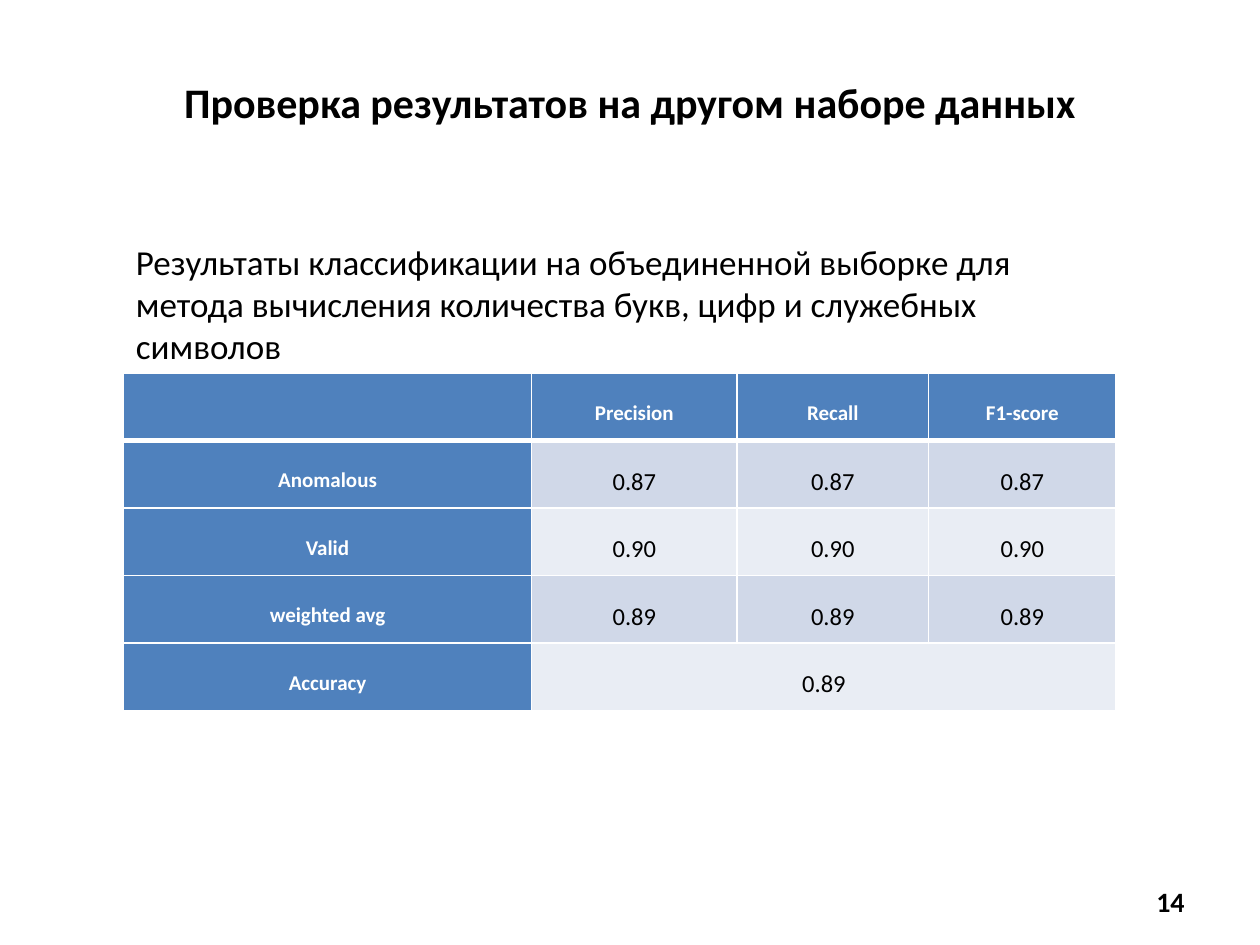
from lxml.etree import SubElement
from pptx import Presentation
from pptx.dml.color import RGBColor
from pptx.enum.text import MSO_ANCHOR as Anchor, PP_ALIGN as Align
from pptx.oxml.ns import qn
from pptx.util import Inches, Pt

WHITE, BLACK, BLUE = "FFFFFF", "000000", "4F81BD"
BANDS = ["D0D8E8", "E9EDF4"]


def paint(item, color):
    item.rgb = RGBColor.from_string(color)


def write(frame, text, size, color=BLACK, bold=False, align=Align.LEFT):
    para = frame.paragraphs[0]
    para.alignment = align
    run = para.add_run()
    run.text = text
    font = run.font
    font.name, font.size, font.bold = "Calibri", Pt(size), bold
    paint(font.color, color)
    return para


deck = Presentation()
deck.slide_width, deck.slide_height = Inches(10), Inches(7.5)
slide = deck.slides.add_slide(deck.slide_layouts[6])

# Title, table caption and page number
texts = [
    ("Проверка результатов на другом наборе данных",
     (0.5, 0.3, 9, 1.01), 24, True, Align.CENTER, Anchor.MIDDLE),
    ("Результаты классификации на объединенной выборке для метода "
     "вычисления количества букв, цифр и служебных символов",
     (0.98, 1.86, 7.95, 1.11), 20, False, Align.LEFT, Anchor.TOP),
    ("14", (7.17, 6.95, 2.33, 0.4), 16, True, Align.RIGHT, Anchor.MIDDLE),
]
for text, place, size, bold, align, anchor in texts:
    frame = slide.shapes.add_textbox(*map(Inches, place)).text_frame
    frame.word_wrap = True
    frame.vertical_anchor = anchor
    write(frame, text, size, bold=bold, align=align)

# Table of scores
rows = [
    ["", "Precision", "Recall", "F1-score"],
    ["Anomalous"] + ["0.87"] * 3,
    ["Valid"] + ["0.90"] * 3,
    ["weighted avg"] + ["0.89"] * 3,
    ["Accuracy", "0.89", "", ""],
]
widths = [3.24, 1.63, 1.52, 1.49]
table = slide.shapes.add_table(
    len(rows), len(widths), Inches(0.98), Inches(2.96),
    Inches(sum(widths)), Inches(2.68)).table
for col, width in zip(table.columns, widths):
    col.width = Inches(width)
table.cell(4, 1).merge(table.cell(4, 3))

for r, row in enumerate(rows):
    table.rows[r].height = Inches(2.68 / len(rows))
    for c, text in enumerate(row):
        cell = table.cell(r, c)
        head = r == 0 or c == 0

        # White borders, thick between the header and the body
        props = cell._tc.get_or_add_tcPr()
        for side in "LRTB":
            thick = (r, side) in [(0, "B"), (1, "T")]
            line = SubElement(props, qn("a:ln" + side),
                              w=str(Pt(3 if thick else 1)))
            fill = SubElement(line, qn("a:solidFill"))
            SubElement(fill, qn("a:srgbClr"), val=WHITE)

        cell.fill.solid()
        paint(cell.fill.fore_color, BLUE if head else BANDS[(r - 1) % 2])
        cell.vertical_anchor = Anchor.MIDDLE
        cell.margin_left = cell.margin_right = Inches(0.07)
        cell.margin_top = cell.margin_bottom = 0
        if text:
            para = write(cell.text_frame, text, 12 if head else 14,
                         WHITE if head else BLACK, head, Align.CENTER)
            para.line_spacing = 1.5

deck.save("out.pptx")
